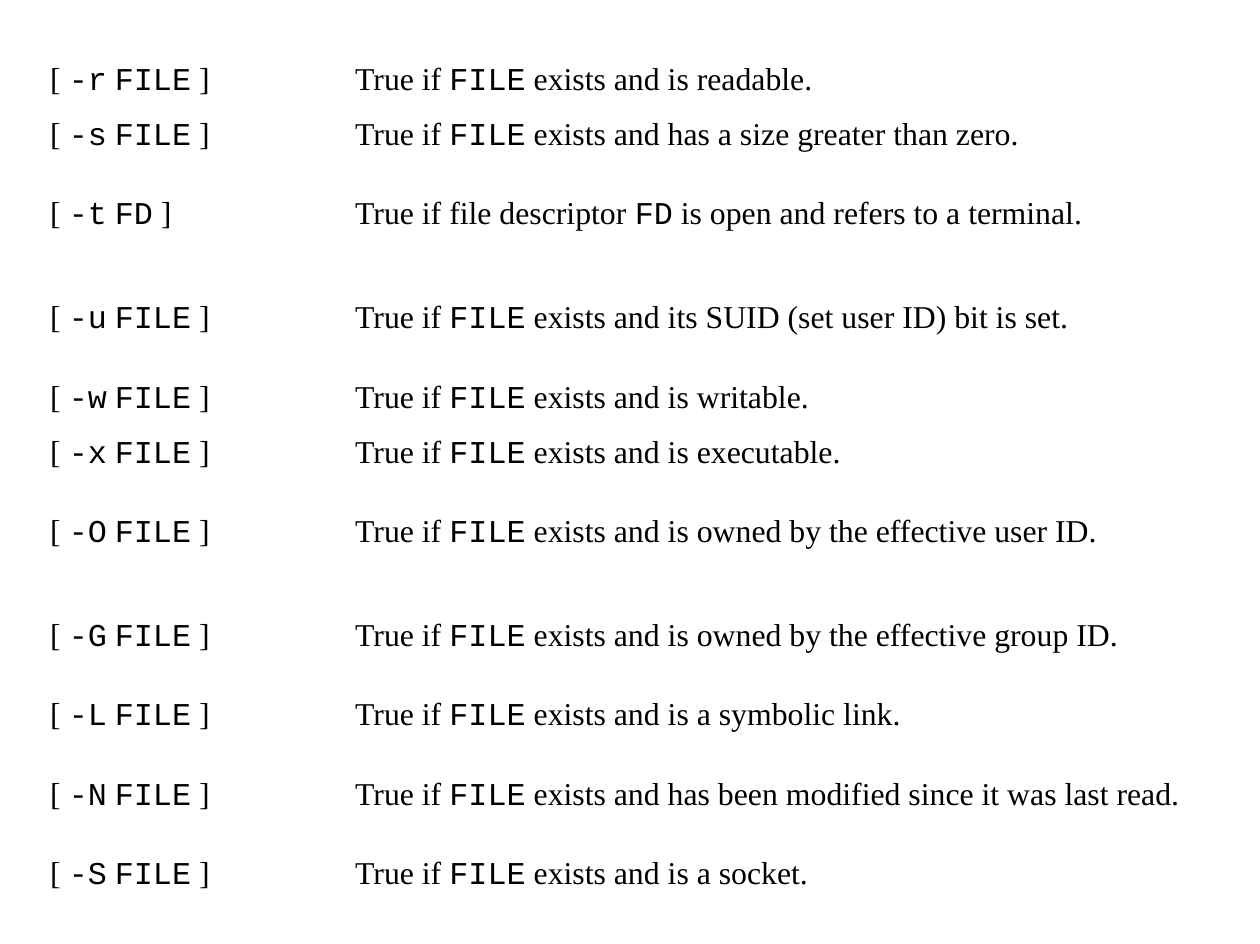
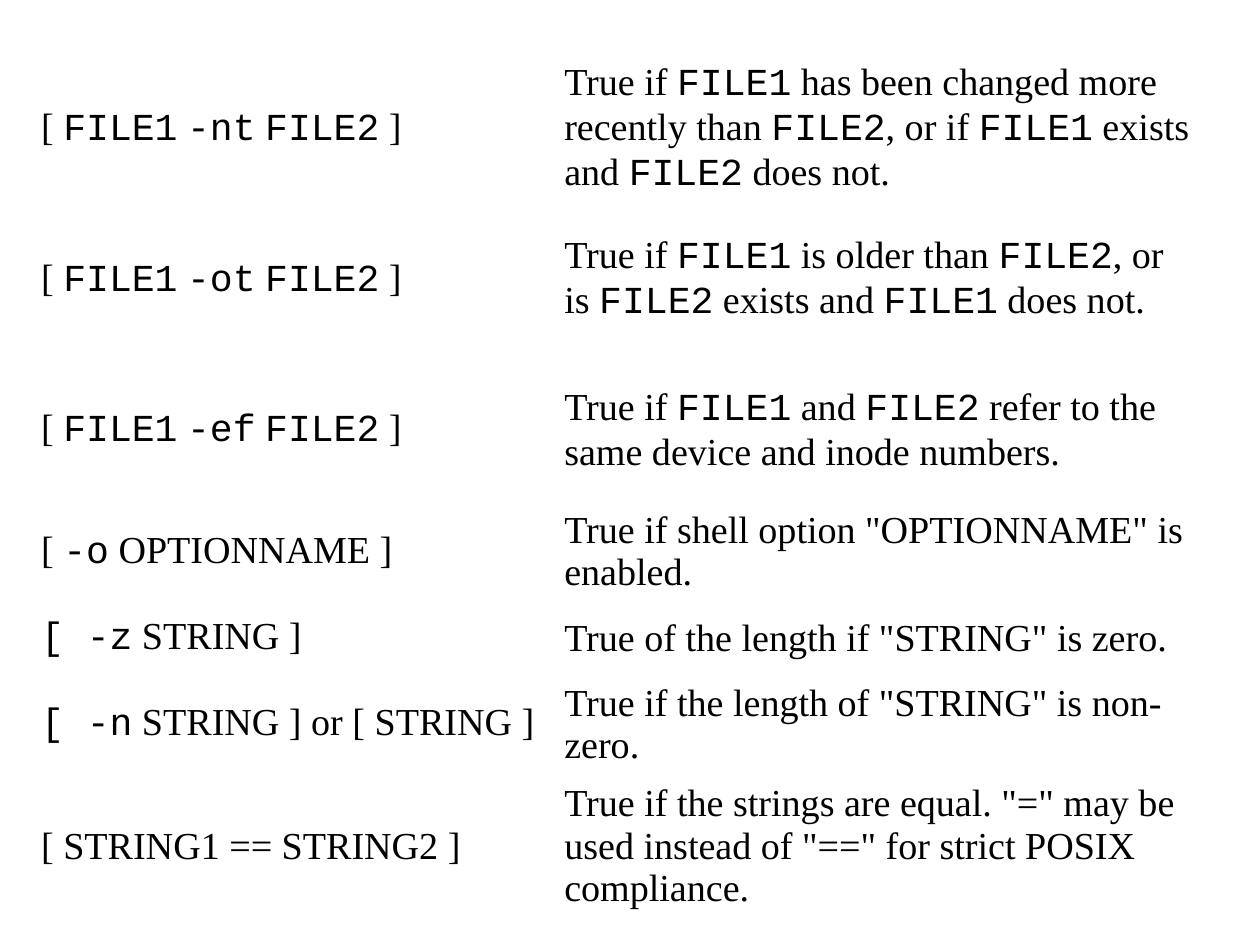
from dataclasses import dataclass

from pptx import Presentation
from pptx.dml.color import RGBColor
from pptx.enum.text import MSO_ANCHOR
from pptx.oxml.ns import qn
from pptx.presentation import Presentation as Deck
from pptx.table import _Cell as Cell
from pptx.util import Emu, Pt

EMU_PER_PX = 9144  # 100 px to the inch


def px(length: int) -> Emu:
    return Emu(length * EMU_PER_PX)


# Theme: fonts, colours, sizes and cell format
@dataclass(frozen=True)
class Theme:
    serif: str = "Times New Roman"
    mono: str = "Courier New"
    ink: RGBColor = RGBColor(0x00, 0x00, 0x00)
    paper: RGBColor = RGBColor(0xFF, 0xFF, 0xFF)
    small: int = 20
    large: int = 24
    inset: int = 1
    plain_table: str = "{2D5ABB26-0587-4C30-8999-92F81FD0307C}"


THEME = Theme()
PAGE_WIDTH, PAGE_HEIGHT = 1103, 826
TABLE_TOP = 47
CELL_FORMAT = {
    "vertical_anchor": MSO_ANCHOR.MIDDLE,
    **{f"margin_{side}": px(THEME.inset) for side in ("left", "top", "right", "bottom")},
}


# Content: words between backticks are set in the mono font
@dataclass(frozen=True)
class Row:
    test: str
    meaning: str
    height: int


@dataclass(frozen=True)
class Sheet:
    left: int
    columns: tuple[int, int]
    text_size: int
    rows: list[Row]


SHORT, TALL = 48, 91


def file_test(flag: str, ending: str, height: int = SHORT) -> Row:
    return Row(f"[ `-{flag}` `FILE` ]", f"True if `FILE` exists and {ending}.", height)


FILE_TESTS = Sheet(43, (267, 725), THEME.small, [
    file_test("r", "is readable"),
    file_test("s", "has a size greater than zero"),
    Row("[ `-t` `FD` ]", "True if file descriptor `FD` is open and refers to a terminal.", TALL),
    file_test("u", "its SUID (set user ID) bit is set", TALL),
    file_test("w", "is writable"),
    file_test("x", "is executable"),
    file_test("O", "is owned by the effective user ID", TALL),
    file_test("G", "is owned by the effective group ID", TALL),
    file_test("L", "is a symbolic link"),
    file_test("N", "has been modified since it was last read", TALL),
    file_test("S", "is a socket"),
])

COMPARISONS = Sheet(35, (458, 550), THEME.large, [
    Row("[ `FILE1` `-nt` `FILE2` ]",
        "True if `FILE1` has been changed more recently than `FILE2`, "
        "or if `FILE1` exists and `FILE2` does not.", 132),
    Row("[ `FILE1` `-ot` `FILE2` ]",
        "True if `FILE1` is older than `FILE2`, or is `FILE2` exists and `FILE1` does not.", 132),
    Row("[ `FILE1` `-ef` `FILE2` ]",
        "True if `FILE1` and `FILE2` refer to the same device and inode numbers.", 131),
    Row("[ `-o` OPTIONNAME ]", 'True if shell option "OPTIONNAME" is enabled.', 82),
    Row("`[ -z` STRING ]", 'True of the length if "STRING" is zero.', 69),
    Row("`[ -n` STRING ] or [ STRING ]", 'True if the length of "STRING" is non-zero.', 82),
    Row("[ STRING1 == STRING2 ]",
        'True if the strings are equal. "=" may be used instead of "==" '
        "for strict POSIX compliance.", 131),
])


# Drawing
def write_cell(cell: Cell, text: str, size: int) -> None:
    for name, value in CELL_FORMAT.items():
        setattr(cell, name, value)
    cell.fill.background()
    para = cell.text_frame.paragraphs[0]
    for index, words in enumerate(text.split("`")):
        if not words:
            continue
        span = para.add_run()
        span.text = words
        font_format = {"name": THEME.mono if index % 2 else THEME.serif, "size": Pt(size)}
        for name, value in font_format.items():
            setattr(span.font, name, value)
        span.font.color.rgb = THEME.ink


def add_sheet(deck: Deck, sheet: Sheet) -> None:
    page = deck.slides.add_slide(deck.slide_layouts[6])
    page.background.fill.solid()
    page.background.fill.fore_color.rgb = THEME.paper
    frame = page.shapes.add_table(
        len(sheet.rows), len(sheet.columns), px(sheet.left), px(TABLE_TOP),
        px(sum(sheet.columns)), px(sum(row.height for row in sheet.rows)))
    table = frame.table
    for name in ("first_row", "horz_banding"):
        setattr(table, name, False)
    for style in frame.element.iter(qn("a:tableStyleId")):
        style.text = THEME.plain_table
    for column, width in zip(table.columns, sheet.columns):
        column.width = px(width)
    for line, row in zip(table.rows, sheet.rows):
        line.height = px(row.height)
        for cell, text in zip(line.cells, (row.test, row.meaning)):
            write_cell(cell, text, sheet.text_size)


def main() -> None:
    deck = Presentation()
    deck.slide_width, deck.slide_height = px(PAGE_WIDTH), px(PAGE_HEIGHT)
    for sheet in (FILE_TESTS, COMPARISONS):
        add_sheet(deck, sheet)
    deck.save("out.pptx")


if __name__ == "__main__":
    main()
